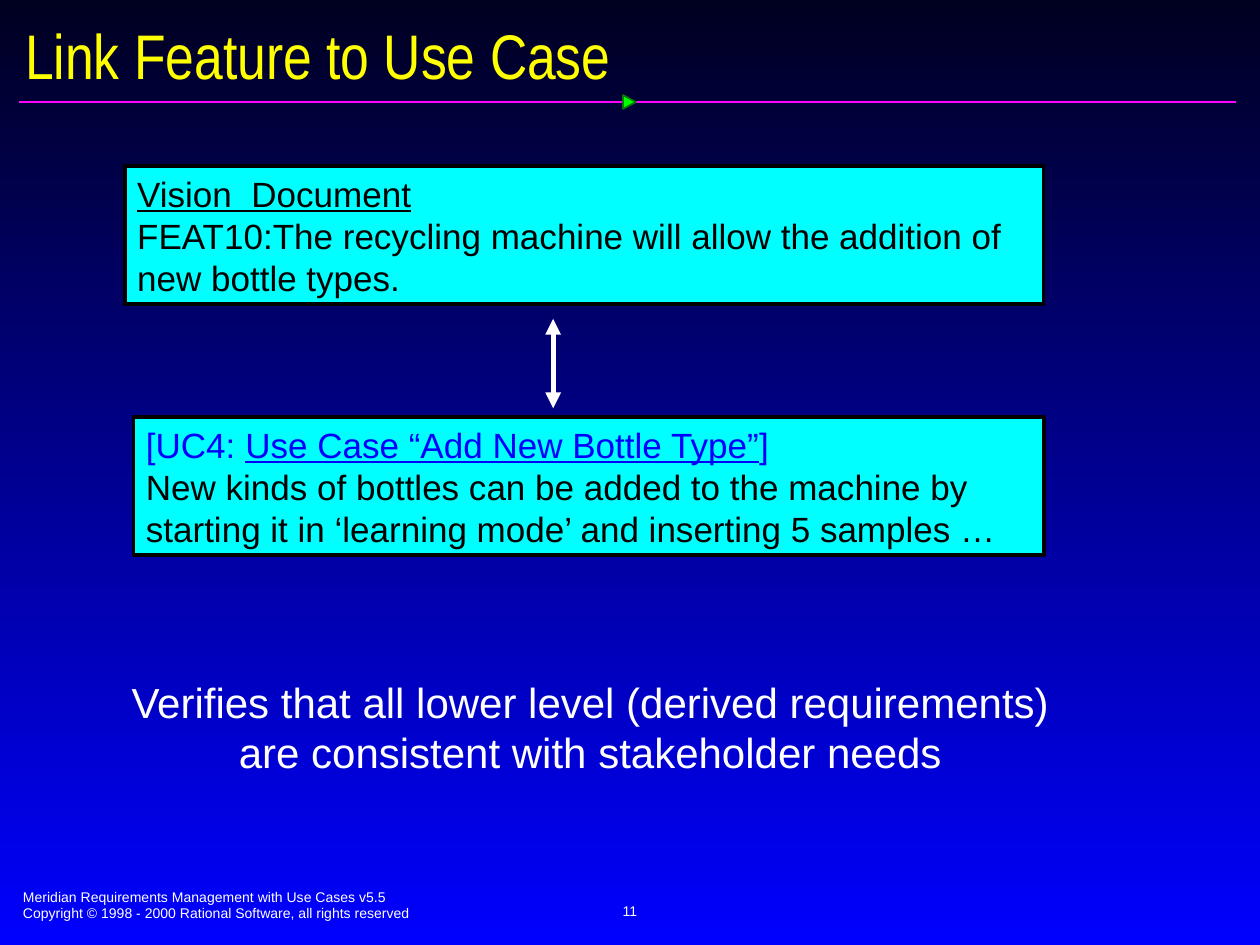
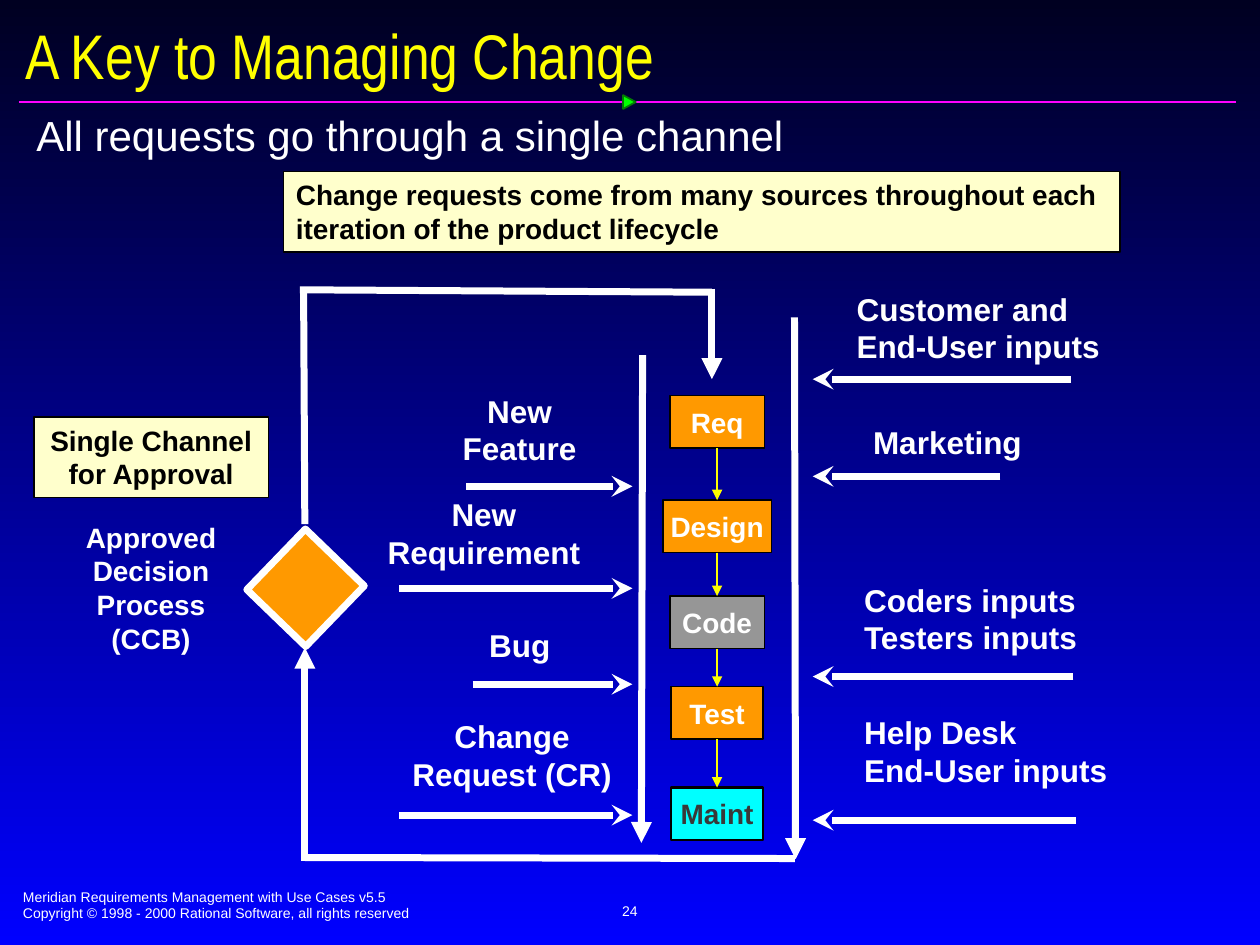
from lxml import etree
from pptx import Presentation
from pptx.dml.color import RGBColor
from pptx.enum import shapes, text
from pptx.oxml.ns import qn
from pptx.util import Pt

COLORS = {
    "night": "000021", "blue": "0000FF", "white": "FFFFFF", "black": "000000",
    "yellow": "FFFF00", "magenta": "FF01FF", "green": "00FF00", "dark_green": "037C03",
    "cyan": "00FFFF", "cream": "FFFFCC", "orange": "FF9900", "gray": "969696",
    "charcoal": "393939",
}
LEFT, CENTER = text.PP_ALIGN.LEFT, text.PP_ALIGN.CENTER
TOP, MIDDLE = text.MSO_ANCHOR.TOP, text.MSO_ANCHOR.MIDDLE
RECT = shapes.MSO_SHAPE.RECTANGLE
FOOTER = ["Meridian Requirements Management with Use Cases v5.5",
          "Copyright © 1998 - 2000 Rational Software, all rights reserved"]


def rgb(name):
    return RGBColor.from_string(COLORS[name])


def place(box, part):
    """Lengths of a part whose left and top are counted from the box corner."""
    x, y, w, h = part
    return Pt(box[0] + x), Pt(box[1] + y), Pt(w), Pt(h)


def write(sp, paragraphs, size, color="white", bold=False, align=LEFT, anchor=TOP,
          font="Arial"):
    """Fill a shape; a paragraph is a string or a list of (text, colour, underline)."""
    tf = sp.text_frame
    tf.word_wrap = True
    tf.vertical_anchor = anchor
    for i, content in enumerate(paragraphs):
        p = tf.paragraphs[0] if i == 0 else tf.add_paragraph()
        p.alignment = align
        p.font.name, p.font.size, p.font.bold = font, Pt(size), bold
        p.font.color.rgb = rgb(color)
        if isinstance(content, str):
            p.text = content
            continue
        for words, run_color, underline in content:
            r = p.add_run()
            r.text = words
            r.font.color.rgb = rgb(run_color)
            r.font.underline = underline


def add_text(s, box, part, paragraphs, size, **style):
    sp = s.shapes.add_textbox(*place(box, part))
    write(sp, paragraphs, size, **style)
    return sp


def add_shape(s, box, part, fill, line, width, kind=RECT, rotation=0):
    sp = s.shapes.add_shape(kind, *place(box, part))
    sp.shadow.inherit = False
    sp.fill.solid()
    sp.fill.fore_color.rgb = rgb(fill)
    sp.line.color.rgb = rgb(line)
    sp.line.width = Pt(width)
    sp.rotation = rotation
    return sp


def add_line(s, box, start, end, color="white", width=4, head=None, tail=None):
    x, y = box[:2]
    cx = s.shapes.add_connector(shapes.MSO_CONNECTOR.STRAIGHT, Pt(x + start[0]),
                                Pt(y + start[1]), Pt(x + end[0]), Pt(y + end[1]))
    cx.line.color.rgb = rgb(color)
    cx.line.width = Pt(width)
    ln = cx.line._get_or_add_ln()
    for tag, arrow in (("a:headEnd", head), ("a:tailEnd", tail)):
        if arrow:
            etree.SubElement(ln, qn(tag), type=arrow)
    etree.SubElement(cx._element.spPr, qn("a:effectLst"))
    return cx


def base_slide(prs, title, number):
    """Background, title, rule and footer shared by every slide."""
    s = prs.slides.add_slide(prs.slide_layouts[6])
    fill = s.background.fill
    fill.gradient()
    fill.gradient_angle = 270
    for stop, color in zip(fill.gradient_stops, ("night", "blue")):
        stop.color.rgb = rgb(color)
    header(s, (7, 10, 708, 53), title)
    footer(s, (6, 502.5, 470, 36), number)
    return s


def header(s, box, title):
    add_line(s, box, (3.8, 48.3), (699.3, 48.3), "magenta", 1)
    add_shape(s, box, (348.7, 44.7, 7.9, 7.2), "green", "dark_green", 1,
              shapes.MSO_SHAPE.ISOSCELES_TRIANGLE, 90)
    add_text(s, box, (0.2, 0, 708, 42), [title], 36, color="yellow", anchor=MIDDLE,
             font="Arial Narrow")


def footer(s, box, number):
    add_text(s, box, (0, 1.5, 367, 26.6), FOOTER, 8)
    add_text(s, box, (240, 0, 228, 36), [str(number)], 8, align=CENTER, anchor=MIDDLE)


# Feature traced to a use case
def feature_link(s, box):
    cards = [
        ((0, 0, 525, 79), [
            [("Vision  Document", "black", True)],
            "FEAT10:The recycling machine will allow the addition of new bottle types."]),
        ((5, 143.3, 520.5, 79), [
            [("[UC4: ", "blue", False), ("Use Case “Add New Bottle Type”", "blue", True),
             ("]", "blue", False)],
            "New kinds of bottles can be added to the machine by starting it in "
            "‘learning mode’ and inserting 5 samples …"]),
    ]
    for part, paragraphs in cards:
        sp = add_shape(s, box, part, "cyan", "black", 2.25)
        write(sp, paragraphs, 20, color="black")
    add_line(s, box, (244.8, 87.2), (244.8, 138.3), width=3,
             head="triangle", tail="triangle")


def conclusion(s, box):
    add_text(s, box, (0, 0, *box[2:]),
             ["Verifies that all lower level (derived requirements) "
              "are consistent with stakeholder needs"], 24, align=CENTER)


def callout(s, box, part, paragraphs, align=LEFT):
    sp = add_shape(s, box, part, "cream", "black", 0.75)
    write(sp, paragraphs, 16, color="black", bold=True, align=align)


# Heading line and note above the diagram
def introduction(s, box):
    add_text(s, box, (0, 0, 450, 37), ["All requests go through a single channel"], 24)
    callout(s, box, (148.3, 39, 478, 46),
            ["Change requests come from many sources throughout each iteration "
             "of the product lifecycle"])


# Loop from the lifecycle through the approval decision and back
def approval_loop(s, box):
    callout(s, box, (0.4, 78.3, 134, 46), ["Single Channel", "for Approval"], CENTER)
    add_text(s, box, (19.8, 133.8, 95, 84), ["Approved\vDecision\vProcess", "(CCB)"], 16,
             bold=True, align=CENTER)
    add_shape(s, box, (132.2, 151.8, 46.8, 48.2), "orange", "white", 4, rotation=44)
    for start, end, tail in [
        ((435.3, 330.6), (153.1, 330), None),
        ((155.2, 331), (155.2, 210.1), "triangle"),
        ((155.2, 139.5), (154.5, 6.3), None),
        ((152.4, 5.6), (387.8, 7), None),
        ((387.8, 4.9), (387.8, 56.7), "triangle"),
    ]:
        add_line(s, box, start, end, tail=tail)


# Lifecycle stages between two rails
def lifecycle(s, box):
    for start, end in [((1.2, 23), (0.5, 301.7)), ((88, 1.4), (88.6, 311))]:
        add_line(s, box, start, end, tail="triangle")
    center, previous = 43.8, None
    for name, top, width, fill, color, border in [
        ("Req", 46.1, 54, "orange", "white", 0.75),
        ("Design", 105.8, 62, "orange", "white", 0.75),
        ("Code", 160.6, 54, "gray", "white", 0.75),
        ("Test", 212.4, 52.6, "orange", "white", 0.75),
        ("Maint", 270, 52.6, "cyan", "charcoal", 1.5),
    ]:
        stage = add_shape(s, box, (center - width / 2, top, width, 30), fill, "black", border)
        tf = stage.text_frame
        tf.margin_left = tf.margin_right = tf.margin_top = tf.margin_bottom = 0
        write(stage, [name], 16, color=color, bold=True, align=CENTER, anchor=MIDDLE)
        if previous:
            arrow = add_line(s, box, (center, 0), (center, top), "yellow", 0.75,
                             tail="triangle")
            arrow.begin_connect(previous, 2)
            arrow.end_connect(stage, 0)
        previous = stage


# Labelled arrows pointing at a rail
def change_inputs(s, box, tip, inputs, align):
    for paragraphs, part, tail_x, y in inputs:
        add_text(s, box, part, paragraphs, 18, bold=True, align=align)
        add_line(s, box, (tail_x, y), (tip, y), tail="stealth")


REQUESTS = [
    (["New Feature"], (51.9, 0.3, 110, 50.4), 76.4, 57.9),
    (["New", "Requirement"], (0, 59.4, 173, 50.4), 38.2, 116.2),
    (["Bug"], (73.5, 134.2, 67, 28.8), 80, 171),
    (["Change\vRequest (CR)"], (23.1, 186.1, 159, 50.4), 38.2, 245.8),
]
SOURCES = [
    (["Customer and\vEnd-User inputs"], (18.4, 0, 160, 50.4), 148, 54.7),
    (["Marketing"], (27.8, 76.3, 137, 28.8), 107.7, 110.2),
    (["Coders inputs", "Testers inputs"], (22.7, 166.3, 187, 50.4), 149.4, 224.6),
    (["Help Desk", "End-User inputs"], (22.7, 241.9, 184, 50.4), 150.9, 306.7),
]


def main():
    prs = Presentation()
    prs.slide_width, prs.slide_height = Pt(720), Pt(540)

    s = base_slide(prs, "Link Feature to Use Case", 11)
    feature_link(s, (71.3, 95, 526, 223))
    conclusion(s, (51, 383, 572.5, 65))

    s = base_slide(prs, "A Key to Managing Change", 24)
    introduction(s, (13.7, 59, 627, 85))
    approval_loop(s, (19, 160, 436, 331))
    lifecycle(s, (366, 180, 89, 311))
    change_inputs(s, (190, 220, 182, 246), 171.4, REQUESTS, CENTER)
    change_inputs(s, (464, 162, 210, 307), 0.4, SOURCES, LEFT)

    prs.save("out.pptx")


if __name__ == "__main__":
    main()
